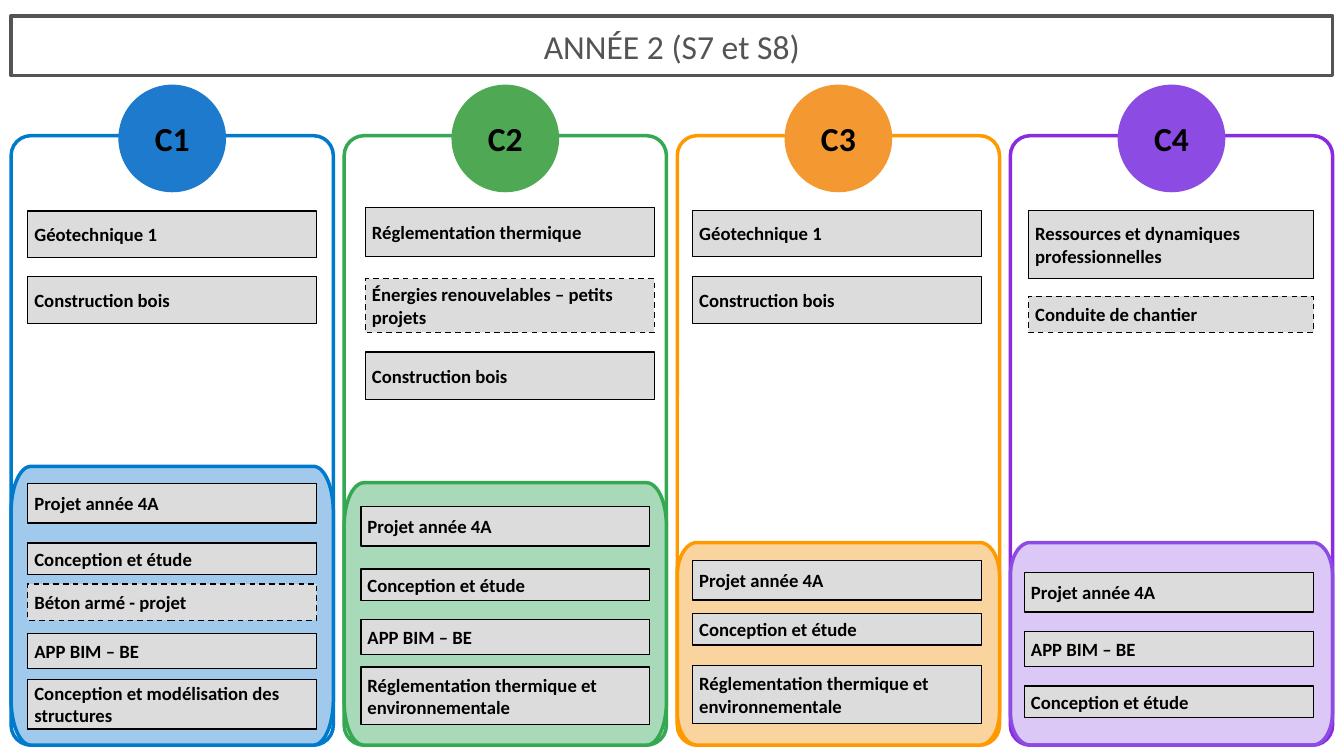
from collections import namedtuple
from math import cos, pi, sin

from lxml.etree import SubElement
from pptx import Presentation
from pptx.dml.color import RGBColor
from pptx.enum.dml import MSO_LINE
from pptx.enum.shapes import MSO_SHAPE
from pptx.enum.text import MSO_ANCHOR, MSO_AUTO_SIZE, PP_ALIGN
from pptx.oxml.ns import qn
from pptx.util import Cm, Pt

BLACK = RGBColor(0x00, 0x00, 0x00)
GREY = RGBColor(0x54, 0x54, 0x54)
LABEL_FILL = RGBColor(0xDD, 0xDC, 0xDC)
BLUE, BLUE_DISC, BLUE_PANEL = map(RGBColor.from_string, ("007ACC", "1E7ACC", "A0C9EB"))
GREEN, GREEN_DISC, GREEN_PANEL = map(RGBColor.from_string, ("34A853", "4FA954", "A8DAB9"))
ORANGE, ORANGE_DISC, ORANGE_PANEL = map(RGBColor.from_string, ("FF9900", "F49831", "FAD49E"))
VIOLET, VIOLET_DISC = map(RGBColor.from_string, ("8A2BE2", "8C4BE2"))

FRAME_LINE = 3.75
RADIUS = 0.75
DISC = 3.99

Box = namedtuple("Box", "left top width height")
Label = namedtuple("Label", "text top height dashed", defaults=(False,))
Group = namedtuple("Group", "indent width labels")
Skill = namedtuple(
    "Skill", "name line disc panel panel_line opacity panel_height courses projects"
)

SKILLS = [
    Skill("C1", BLUE, BLUE_DISC, BLUE_PANEL, BLUE, 100, 10.54,
          Group(0.63, 10.92, [
              Label("Géotechnique 1", 2.85, 1.75),
              Label("Construction bois", 5.33, 1.78)]),
          Group(0.63, 10.92, [
              Label("Projet année 4A", 0.64, 1.5),
              Label("Conception et étude", 2.9, 1.19),
              Label("Béton armé - projet", 4.45, 1.37, True),
              Label("APP BIM – BE", 6.32, 1.32),
              Label("Conception et modélisation des structures", 8.05, 1.88)])),
    Skill("C2", GREEN, GREEN_DISC, GREEN_PANEL, GREEN, 100, 9.92,
          Group(0.8, 10.92, [
              Label("Réglementation thermique", 2.72, 1.86),
              Label("Énergies renouvelables – petits projets", 5.41, 2.03, True),
              Label("Construction bois", 8.18, 1.79)]),
          Group(0.63, 10.92, [
              Label("Projet année 4A", 0.9, 1.5),
              Label("Conception et étude", 3.26, 1.19),
              Label("APP BIM – BE", 5.17, 1.32),
              Label("Réglementation thermique et environnementale", 6.97, 2.18)])),
    Skill("C3", ORANGE, ORANGE_DISC, ORANGE_PANEL, ORANGE, 100, 7.66,
          Group(0.58, 10.92, [
              Label("Géotechnique 1", 2.82, 1.74),
              Label("Construction bois", 5.33, 1.78)]),
          Group(0.58, 10.92, [
              Label("Projet année 4A", 0.67, 1.5),
              Label("Conception et étude", 2.68, 1.19),
              Label("Réglementation thermique et environnementale", 4.66, 2.18)])),
    Skill("C4", VIOLET, VIOLET_DISC, VIOLET_DISC, VIOLET_DISC, 30, 7.66,
          Group(0.69, 10.77, [
              Label("Ressources et dynamiques professionnelles", 2.82, 2.59),
              Label("Conduite de chantier", 6.07, 1.37, True)]),
          Group(0.53, 10.92, [
              Label("Projet année 4A", 1.13, 1.5),
              Label("APP BIM – BE", 3.37, 1.32),
              Label("Conception et étude", 5.42, 1.19)])),
]


def style_shape(shape, fill, line, width):
    """Give a shape its fill (None for no fill) and outline, without shadow."""
    shape.shadow.inherit = False
    if fill is None:
        shape.fill.background()
    else:
        shape.fill.solid()
        shape.fill.fore_color.rgb = fill
    shape.line.color.rgb = line
    shape.line.width = Pt(width)


def write_text(shape, text, align, color, **font_values):
    """Write one vertically centred paragraph in a shape."""
    frame = shape.text_frame
    frame.word_wrap = True
    frame.auto_size = MSO_AUTO_SIZE.NONE
    frame.vertical_anchor = MSO_ANCHOR.MIDDLE
    para = frame.paragraphs[0]
    para.alignment = align
    span = para.add_run()
    span.text = text
    span.font.color.rgb = color
    for name, value in {"name": "Calibri", **font_values}.items():
        setattr(span.font, name, value)


def add_preset(page, kind, box):
    """Add a preset shape filling a box given in centimetres."""
    return page.shapes.add_shape(kind, *map(Cm, box))


def add_title(page, box):
    """Place the framed title of the page."""
    title = page.shapes.title
    for name, value in box._asdict().items():
        setattr(title, name, Cm(value))
    style_shape(title, None, GREY, FRAME_LINE)
    write_text(title, "ANNÉE 2 (S7 et S8)", PP_ALIGN.CENTER, GREY, size=Pt(36), bold=False)


def add_labels(page, group, box):
    """Place a group of course labels relative to a box."""
    for label in group.labels:
        place = Box(box.left + group.indent, box.top + label.top, group.width, label.height)
        shape = add_preset(page, MSO_SHAPE.RECTANGLE, place)
        style_shape(shape, LABEL_FILL, BLACK, 1.5)
        if label.dashed:
            shape.line.dash_style = MSO_LINE.DASH
        write_text(shape, label.text, PP_ALIGN.LEFT, BLACK, size=Pt(20), bold=True)


def add_project_panel(page, skill, box):
    """Draw the panel with elliptical corners and its project labels."""
    radius_y = 0.163 * box.height
    steps = 12
    points = []
    for corner in range(4):
        center_x = box.left + (RADIUS if corner in (1, 2) else box.width - RADIUS)
        center_y = box.top + (box.height - radius_y if corner < 2 else radius_y)
        for step in range(steps + 1):
            angle = (corner + step / steps) * pi / 2
            points.append((Cm(center_x + RADIUS * cos(angle)),
                           Cm(center_y + radius_y * sin(angle))))
    builder = page.shapes.build_freeform(*points[0])
    builder.add_line_segments(points[1:], close=True)
    panel = builder.convert_to_shape()
    style_shape(panel, skill.panel, skill.panel_line, FRAME_LINE)
    if skill.opacity < 100:
        color = panel.fill._xPr.find(qn("a:solidFill"))[0]
        SubElement(color, qn("a:alpha")).set("val", str(skill.opacity * 1000))
    add_labels(page, skill.projects, box)


def add_skill_column(page, skill, box):
    """Draw one skill column: frame, disc, courses and project panel."""
    frame = add_preset(page, MSO_SHAPE.ROUNDED_RECTANGLE, box)
    frame.adjustments[0] = RADIUS / box.width
    style_shape(frame, None, skill.line, FRAME_LINE)

    disc_box = Box(box.left + (box.width - DISC) / 2, box.top - 1.89, DISC, DISC)
    disc = add_preset(page, MSO_SHAPE.OVAL, disc_box)
    style_shape(disc, skill.disc, skill.disc, 2.25)
    for side in ("left", "top", "right", "bottom"):
        setattr(disc.text_frame, f"margin_{side}", 0)
    write_text(disc, skill.name, PP_ALIGN.CENTER, BLACK, size=Pt(36), bold=True)

    add_labels(page, skill.courses, box)
    panel_top = box.top + box.height - skill.panel_height
    add_project_panel(page, skill, Box(box.left, panel_top, box.width, skill.panel_height))


def main():
    """Build the page and save the deck."""
    deck = Presentation()
    deck.slide_width, deck.slide_height = Cm(50.8), Cm(28.58)
    page = deck.slides.add_slide(deck.slide_layouts[5])
    add_title(page, Box(0.42, 0.6, 49.95, 2.26))
    for index, skill in enumerate(SKILLS):
        add_skill_column(page, skill, Box(0.42 + 12.59 * index, 5.13, 12.18, 23.04))
    deck.save("out.pptx")


if __name__ == "__main__":
    main()
